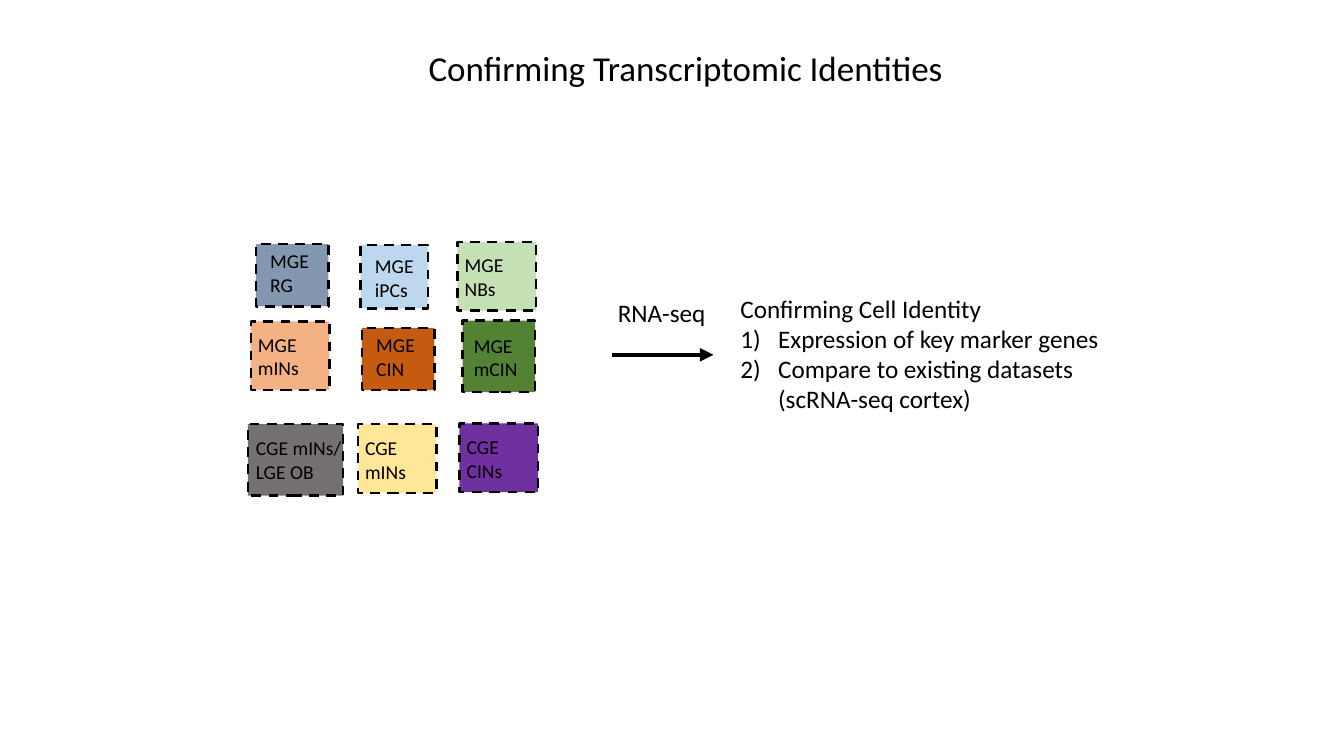
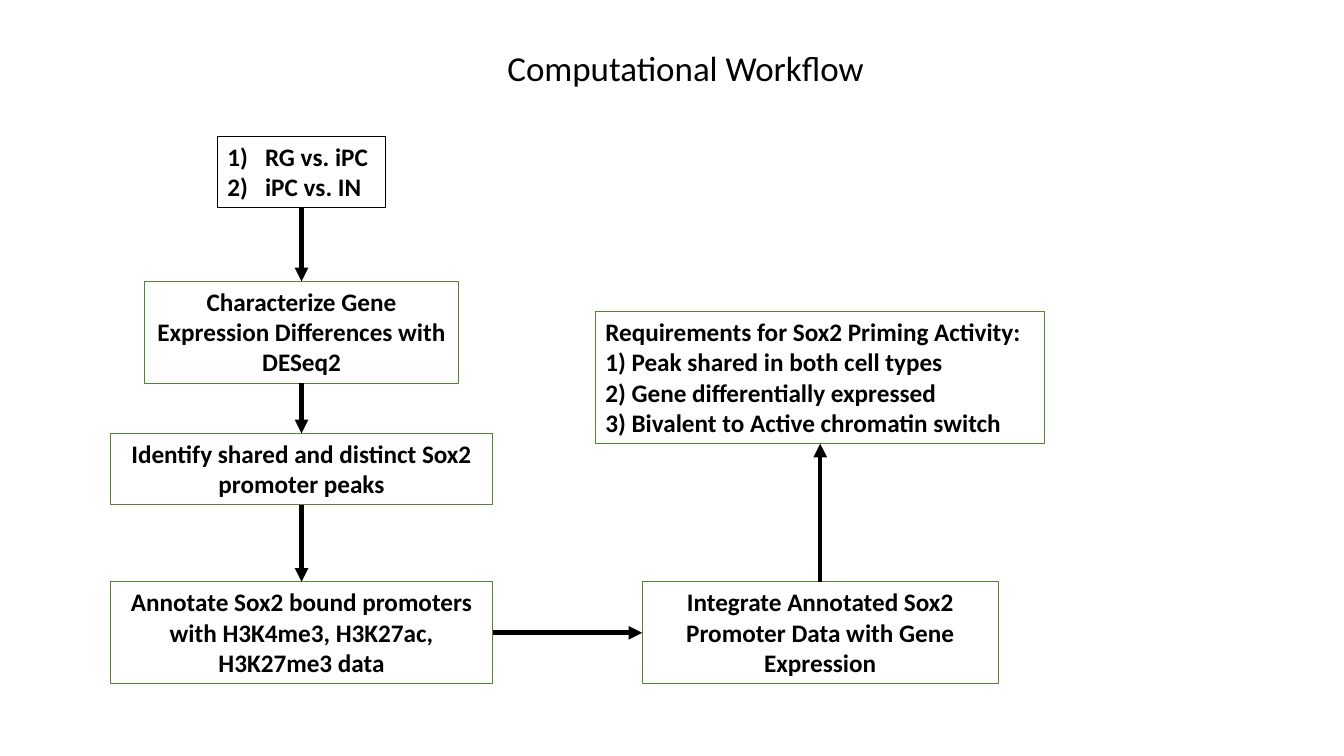
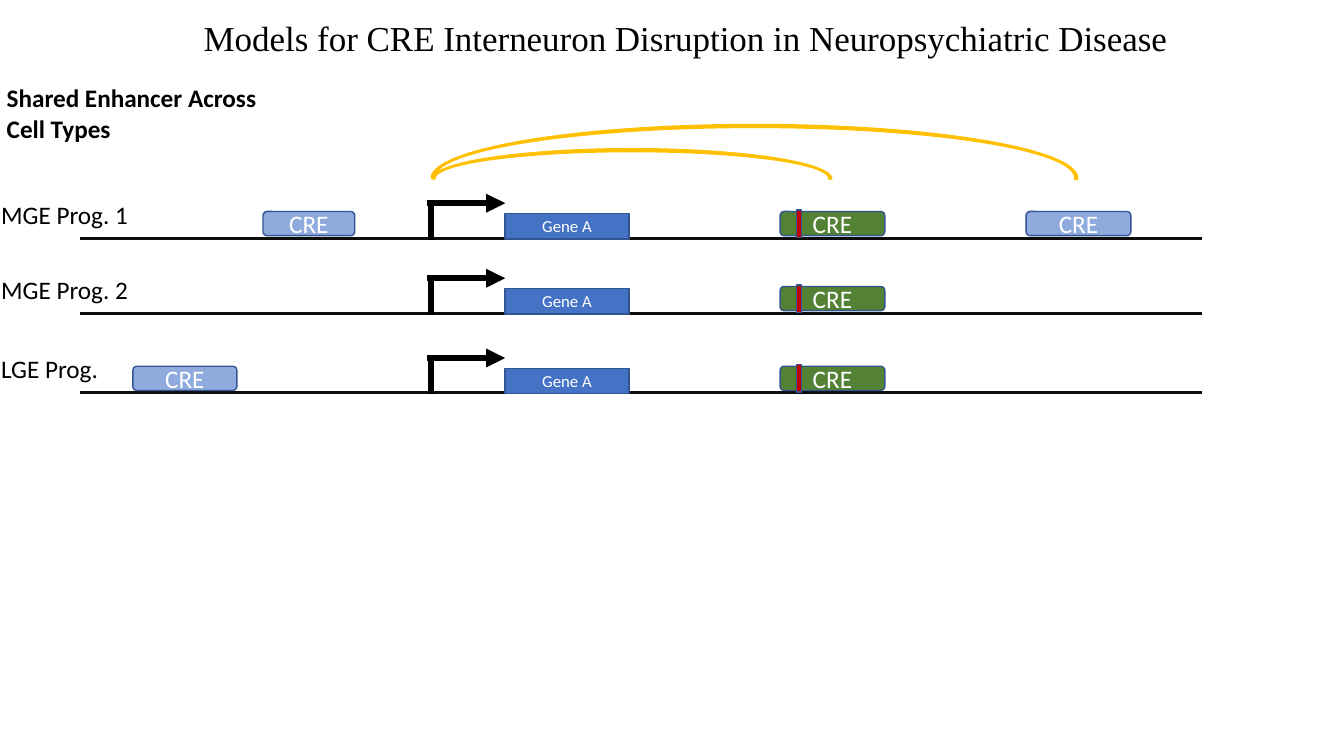
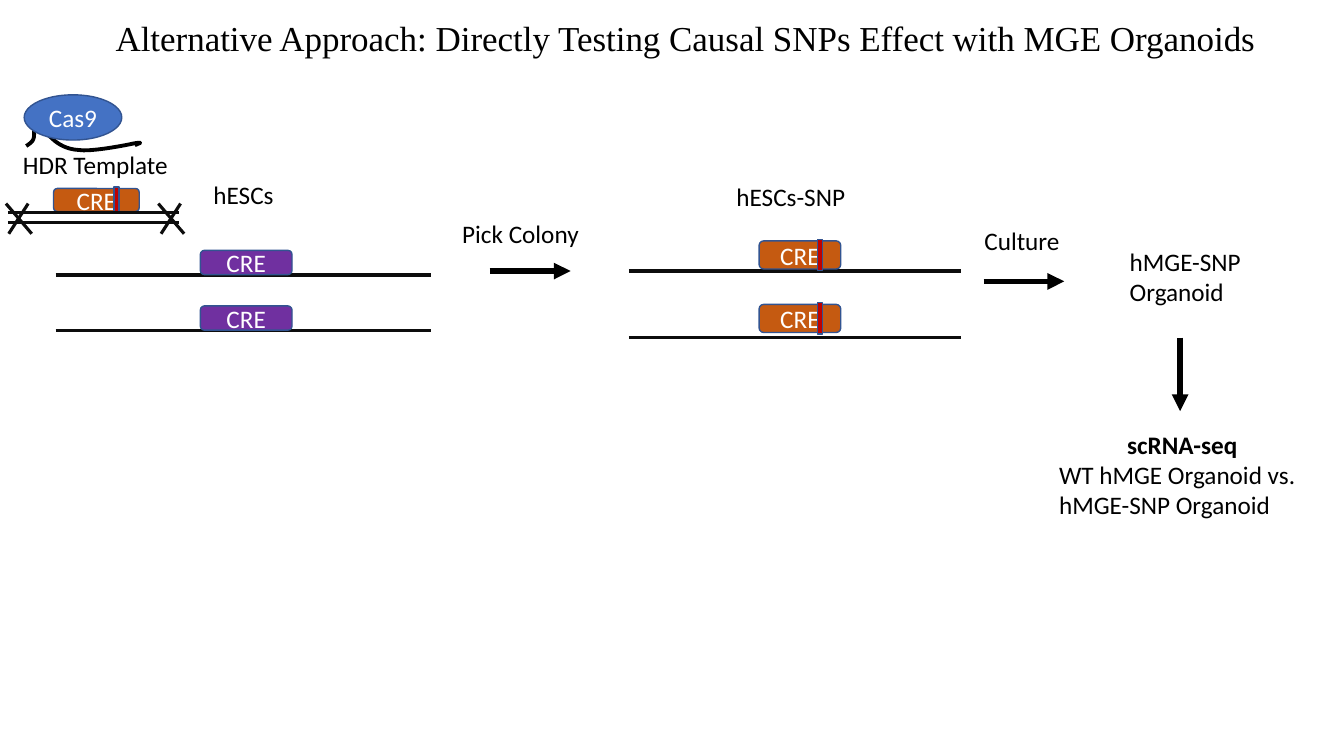
from dataclasses import dataclass

from pptx import Presentation
from pptx.dml.color import RGBColor
from pptx.enum.dml import MSO_LINE_DASH_STYLE as DASH
from pptx.enum.shapes import MSO_CONNECTOR as CONNECTOR, MSO_SHAPE as SHAPE
from pptx.enum.text import MSO_ANCHOR as ANCHOR, PP_ALIGN as ALIGN
from pptx.oxml.ns import qn
from pptx.util import Cm, Pt
from lxml.etree import SubElement


@dataclass(frozen=True)
class Theme:
    font: str = "Calibri"
    serif: str = "Times New Roman"
    title_size: float = 25
    body_size: float = 18
    tile_size: float = 14
    gene_size: float = 12
    black: str = "000000"
    white: str = "FFFFFF"
    strand: str = "0D0D0D"
    blue: str = "4472C4"
    light_blue: str = "8FAADC"
    outline: str = "325491"
    green: str = "548235"
    orange: str = "C55A11"
    purple: str = "7030A0"
    red: str = "C00000"
    gold: str = "FFC000"
    slate: str = "8497B0"
    sky: str = "BDD7EE"
    mint: str = "C5E0B4"
    peach: str = "F4B183"
    grey: str = "767171"
    yellow: str = "FFE699"


THEME = Theme()
TITLE_TOP_LOW, TITLE_TOP_HIGH = 1.04, 0.28


def write(shape, text, size=THEME.body_size, color=THEME.black, align=ALIGN.LEFT,
          bold=False, font=THEME.font, anchor=ANCHOR.TOP):
    frame = shape.text_frame
    frame.text = text
    frame.word_wrap = True
    frame.vertical_anchor = anchor
    for paragraph in frame.paragraphs:
        paragraph.alignment = align
        for run in paragraph.runs:
            run.font.name = font
            run.font.size = Pt(size)
            run.font.bold = bold
            run.font.color.rgb = RGBColor.from_string(color)
    return shape


def add_text(slide, left, top, width, height, text, **style):
    box = slide.shapes.add_textbox(Cm(left), Cm(top), Cm(width), Cm(height))
    return write(box, text, **style)


def add_title(slide, text, top, font=THEME.font):
    add_text(slide, 1.55, top, 31.45, 1.32, text, size=THEME.title_size,
             align=ALIGN.CENTER, font=font)


def number(paragraphs):
    """Turn paragraphs into a hanging list numbered 1), 2), ..."""
    for paragraph in paragraphs:
        properties = paragraph._p.get_or_add_pPr()
        properties.set("marL", str(Cm(0.95)))
        properties.set("indent", str(-Cm(0.95)))
        SubElement(properties, qn("a:buFont"), typeface="+mj-lt")
        SubElement(properties, qn("a:buAutoNum"), type="arabicParenR")


def add_shape(slide, kind, left, top, width, height, fill=None, line=None, line_width=1):
    shape = slide.shapes.add_shape(kind, Cm(left), Cm(top), Cm(width), Cm(height))
    shape.shadow.inherit = False
    if fill:
        shape.fill.solid()
        shape.fill.fore_color.rgb = RGBColor.from_string(fill)
    else:
        shape.fill.background()
    if line:
        shape.line.color.rgb = RGBColor.from_string(line)
        shape.line.width = Pt(line_width)
    else:
        shape.line.fill.background()
    return shape


def add_line(slide, x1, y1, x2, y2, color=THEME.strand, width=2.25, arrow=False):
    line = slide.shapes.add_connector(CONNECTOR.STRAIGHT, Cm(x1), Cm(y1), Cm(x2), Cm(y2))
    line.line.color.rgb = RGBColor.from_string(color)
    line.line.width = Pt(width)
    if arrow:
        SubElement(line.line._ln, qn("a:tailEnd"), type="triangle")
    SubElement(line._element.spPr, qn("a:effectLst"))
    return line


def add_arrow(slide, x1, y1, x2, y2, width):
    return add_line(slide, x1, y1, x2, y2, THEME.black, width, arrow=True)


def join(slide, start, start_side, end, end_side):
    arrow = add_arrow(slide, 0, 0, 1, 1, 3.25)
    arrow.begin_connect(start, start_side)
    arrow.end_connect(end, end_side)


def add_cre(slide, left, top, width, height, fill, snp=None):
    """Draw a regulatory element; snp is the offset of its variant bar."""
    element = add_shape(slide, SHAPE.ROUNDED_RECTANGLE, left, top, width, height,
                        fill, THEME.outline)
    write(element, "CRE", color=THEME.white, align=ALIGN.CENTER, anchor=ANCHOR.MIDDLE)
    if snp is not None:
        add_shape(slide, SHAPE.RECTANGLE, left + snp, top - 0.04, 0.13, height + 0.08,
                  THEME.red, THEME.outline)


def add_cell_tiles(slide, left, top):
    # x, y, width, height, text inset left, text inset top, fill, label
    tiles = [
        (0.2, 0.05, 1.83, 1.57, 0.36, 0.13, THEME.slate, "MGE\nRG"),
        (2.84, 0.07, 1.7, 1.6, 0.36, 0.23, THEME.sky, "MGE\niPCs"),
        (5.28, 0, 1.98, 1.73, 0.18, 0.28, THEME.mint, "MGE\nNBs"),
        (0.07, 2, 1.98, 1.73, 0.18, 0.28, THEME.peach, "MGE\nmINs"),
        (2.87, 2.16, 1.83, 1.57, 0.36, 0.13, THEME.orange, "MGE\nCIN"),
        (5.41, 1.98, 1.83, 1.8, 0.28, 0.33, THEME.green, "MGE\nmCIN"),
        (0, 4.59, 2.4, 1.8, 0.2, 0.3, THEME.grey, "CGE mINs/\nLGE OB"),
        (2.77, 4.59, 1.98, 1.73, 0.18, 0.3, THEME.yellow, "CGE\nmINs"),
        (5.33, 4.57, 1.98, 1.73, 0.18, 0.3, THEME.purple, "CGE\nCINs"),
    ]
    for x, y, width, height, inset_left, inset_top, fill, label in tiles:
        tile = add_shape(slide, SHAPE.RECTANGLE, left + x, top + y, width, height,
                         fill, THEME.black, 1.75)
        tile.line.dash_style = DASH.DASH
        write(tile, label, size=THEME.tile_size)
        frame = tile.text_frame
        frame.margin_left, frame.margin_top = Cm(inset_left), Cm(inset_top)
        frame.margin_right = frame.margin_bottom = 0


def build_identities(slide):
    add_title(slide, "Confirming Transcriptomic Identities", TITLE_TOP_LOW)
    add_cell_tiles(slide, 6.25, 6.1)
    add_arrow(slide, 15.42, 8.94, 17.98, 8.94, 3.25)
    add_text(slide, 15.32, 7.37, 2.84, 1.02, "RNA-seq")
    checks = add_text(slide, 18.41, 7.26, 10.59, 3.33,
                      "Confirming Cell Identity\nExpression of key marker genes\n"
                      "Compare to existing datasets (scRNA-seq cortex)")
    number(checks.text_frame.paragraphs[1:])


def add_step(slide, center, top, width, height, text, line=THEME.green, align=ALIGN.CENTER):
    step = add_shape(slide, SHAPE.RECTANGLE, center - width / 2, top, width, height,
                     line=line, line_width=0.75)
    return write(step, text, align=align, bold=True)


def build_workflow(slide):
    add_title(slide, "Computational Workflow", TITLE_TOP_LOW)
    left_center, right_center, last_row = 7.6, 20.67, 14.66
    compare = add_step(slide, left_center, 3.43, 4.24, 1.8, "RG vs. iPC\niPC vs. IN",
                       THEME.black, ALIGN.LEFT)
    number(compare.text_frame.paragraphs)
    characterize = add_step(slide, left_center, 7.09, 7.9, 2.57,
                            "Characterize Gene Expression Differences with DESeq2")
    identify = add_step(slide, left_center, 10.92, 9.63, 1.8,
                        "Identify shared and distinct Sox2 promoter peaks")
    annotate = add_step(slide, left_center, last_row, 9.63, 2.57,
                        "Annotate Sox2 bound promoters with H3K4me3, H3K27ac, H3K27me3 data")
    integrate = add_step(slide, right_center, last_row, 8.97, 2.57,
                         "Integrate Annotated Sox2 Promoter Data with Gene Expression")
    require = add_step(slide, right_center, 7.85, 11.33, 3.33,
                       "Requirements for Sox2 Priming Activity:\n"
                       "1) Peak shared in both cell types\n"
                       "2) Gene differentially expressed\n"
                       "3) Bivalent to Active chromatin switch", align=ALIGN.LEFT)
    for start, end in [(compare, characterize), (characterize, identify), (identify, annotate)]:
        join(slide, start, 2, end, 0)
    join(slide, annotate, 3, integrate, 1)
    join(slide, integrate, 0, require, 2)


def add_gene_track(slide, baseline, label, enhancers):
    """Draw one cell type's locus above its baseline; enhancers are (left, width)."""
    add_line(slide, 2.01, baseline, 30.3, baseline)
    turn = baseline - 0.88
    add_arrow(slide, 10.77, turn, 12.73, turn, 4.5)
    add_line(slide, 10.85, turn, 10.85, baseline + 0.04, THEME.black, 4.25)
    gene = add_shape(slide, SHAPE.RECTANGLE, 12.73, baseline - 0.62, 3.12, 0.64,
                     THEME.blue, THEME.outline)
    write(gene, "Gene A", size=THEME.gene_size, color=THEME.white, align=ALIGN.CENTER,
          anchor=ANCHOR.MIDDLE)
    add_text(slide, -0.22, baseline - 1.11, 4.5, 1.02, label)
    cre_top = baseline - 0.67
    add_cre(slide, 19.66, cre_top, 2.64, 0.61, THEME.green, snp=0.41)
    for left, width in enhancers:
        add_cre(slide, left, cre_top, width, 0.61, THEME.light_blue)


def build_models(slide):
    add_title(slide, "Models for CRE Interneuron Disruption in Neuropsychiatric Disease",
              TITLE_TOP_HIGH, THEME.serif)
    add_text(slide, -0.08, 1.96, 7.67, 1.8, "Shared Enhancer Across Cell Types", bold=True)
    for baseline, label, enhancers in [
        (6, "MGE Prog. 1", [(6.63, 2.31), (25.86, 2.64)]),
        (7.89, "MGE Prog. 2", []),
        (9.9, "LGE Prog.", [(3.35, 2.62)]),
    ]:
        add_gene_track(slide, baseline, label, enhancers)
    for box, angles in [
        ((10.87, 3.73, 10.11, 1.55), (107.85, 0.16, 0.07)),
        ((10.85, 3.12, 16.33, 2.74), (108, 0.22, 0.04)),
    ]:
        loop = add_shape(slide, SHAPE.BLOCK_ARC, *box, fill=THEME.gold)
        for index, value in enumerate(angles):
            loop.adjustments[index] = value


def curve_points(start, segments, steps=10):
    """Sample a chain of cubic Bezier segments."""
    points = [start]
    for controls in segments:
        nodes = [points[-1], *controls]
        for step in range(1, steps + 1):
            t = step / steps
            weights = ((1 - t) ** 3, 3 * t * (1 - t) ** 2, 3 * t * t * (1 - t), t ** 3)
            points.append(tuple(sum(weight * node[axis] for weight, node in zip(weights, nodes))
                                for axis in (0, 1)))
    return points


def add_cas9(slide, left, top):
    guide = curve_points((0.05, 1.29), [
        ((0.13, 1.24), (0.2, 1.19), (0.23, 1.12)),
        ((0.25, 1.06), (0.25, 1.04), (0.25, 0.91)),
        ((0.25, 0.79), (0.2, 0.48), (0.25, 0.4)),
        ((0.28, 0.33), (0.46, 0.38), (0.51, 0.48)),
        ((0.58, 0.58), (0.48, 0.86), (0.61, 1.01)),
        ((0.76, 1.17), (0.99, 1.37), (1.37, 1.39)),
        ((1.73, 1.45), (2.79, 1.22), (2.79, 1.22)),
        ((3.02, 1.19), (2.9, 1.22), (2.79, 1.27)),
    ])
    points = [(Cm(left + x), Cm(top + y)) for x, y in guide]
    builder = slide.shapes.build_freeform(*points[0])
    builder.add_line_segments(points[1:], close=False)
    strand = builder.convert_to_shape()
    strand.shadow.inherit = False
    strand.fill.background()
    strand.line.color.rgb = RGBColor.from_string(THEME.black)
    strand.line.width = Pt(2.75)
    protein = add_shape(slide, SHAPE.OVAL, left, top, 2.46, 1.14, THEME.blue, THEME.outline)
    write(protein, "Cas9", color=THEME.white, align=ALIGN.CENTER, anchor=ANCHOR.MIDDLE)


def add_hdr_template(slide, left, top):
    add_text(slide, left + 0.18, top, 4.29, 0.99, "HDR Template")
    add_cre(slide, left + 1.2, top + 1.12, 2.16, 0.58, THEME.orange, snp=1.52)
    for y in (top + 1.72, top + 1.98):
        add_line(slide, left + 0.05, y, left + 4.37, y)
    for x in (left, left + 3.84):
        add_line(slide, x, top + 1.5, x + 0.65, top + 2.26)
        add_line(slide, x + 0.56, top + 1.5, x + 0.07, top + 2.26)


def add_allele(slide, left, baseline, width, cre, lift, fill, snp=None):
    """Draw a strand with an element; cre is its offset, width and height."""
    add_line(slide, left, baseline, left + width, baseline)
    offset, cre_width, cre_height = cre
    add_cre(slide, left + offset, baseline - lift, cre_width, cre_height, fill, snp)


def build_alternative(slide):
    add_title(slide, "Alternative Approach: Directly Testing Causal SNPs Effect with MGE Organoids",
              TITLE_TOP_HIGH, THEME.serif)
    add_cas9(slide, 0.61, 2.39)
    add_hdr_template(slide, 0.15, 3.63)
    for baseline in (6.93, 8.33):
        add_allele(slide, 1.4, baseline, 9.45, (3.65, 2.31, 0.61), 0.62, THEME.purple)
    for baseline, lift in ((6.83, 0.76), (8.51, 0.84)):
        add_allele(slide, 15.85, baseline, 8.38, (3.28, 2.06, 0.71), lift, THEME.orange, snp=1.47)
    for arrow in [(12.34, 6.83, 14.38, 6.83), (24.79, 7.09, 26.82, 7.09),
                  (29.74, 8.51, 29.74, 10.36)]:
        add_arrow(slide, *arrow, 4)
    for label in [
        (5.13, 4.39, 2.21, 1.07, "hESCs"),
        (11.4, 5.38, 3.91, 1.02, "Pick Colony"),
        (18.31, 4.45, 3.71, 1.02, "hESCs-SNP"),
        (24.56, 5.56, 3.33, 1.02, "Culture"),
        (28.22, 6.07, 3.91, 1.8, "hMGE-SNP Organoid"),
    ]:
        add_text(slide, *label)
    readout = add_text(slide, 26.44, 10.69, 6.71, 2.57,
                       "scRNA-seq\nWT hMGE Organoid vs. hMGE-SNP Organoid")
    heading = readout.text_frame.paragraphs[0]
    heading.alignment = ALIGN.CENTER
    heading.runs[0].font.bold = True


def main():
    presentation = Presentation()
    presentation.slide_width, presentation.slide_height = Cm(33.87), Cm(19.05)
    blank = presentation.slide_layouts[6]
    for build in (build_identities, build_workflow, build_models, build_alternative):
        build(presentation.slides.add_slide(blank))
    presentation.save("out.pptx")


if __name__ == "__main__":
    main()
